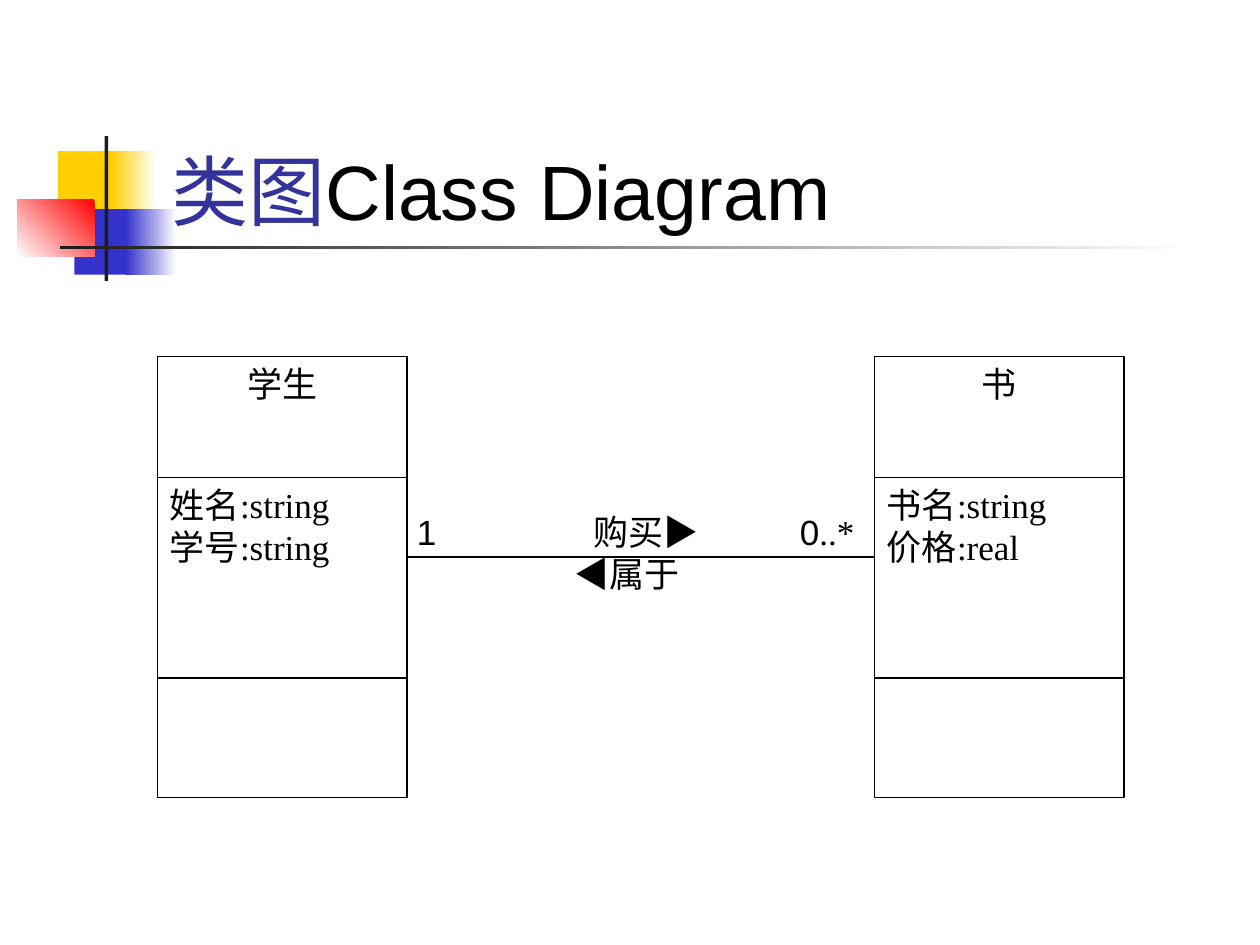
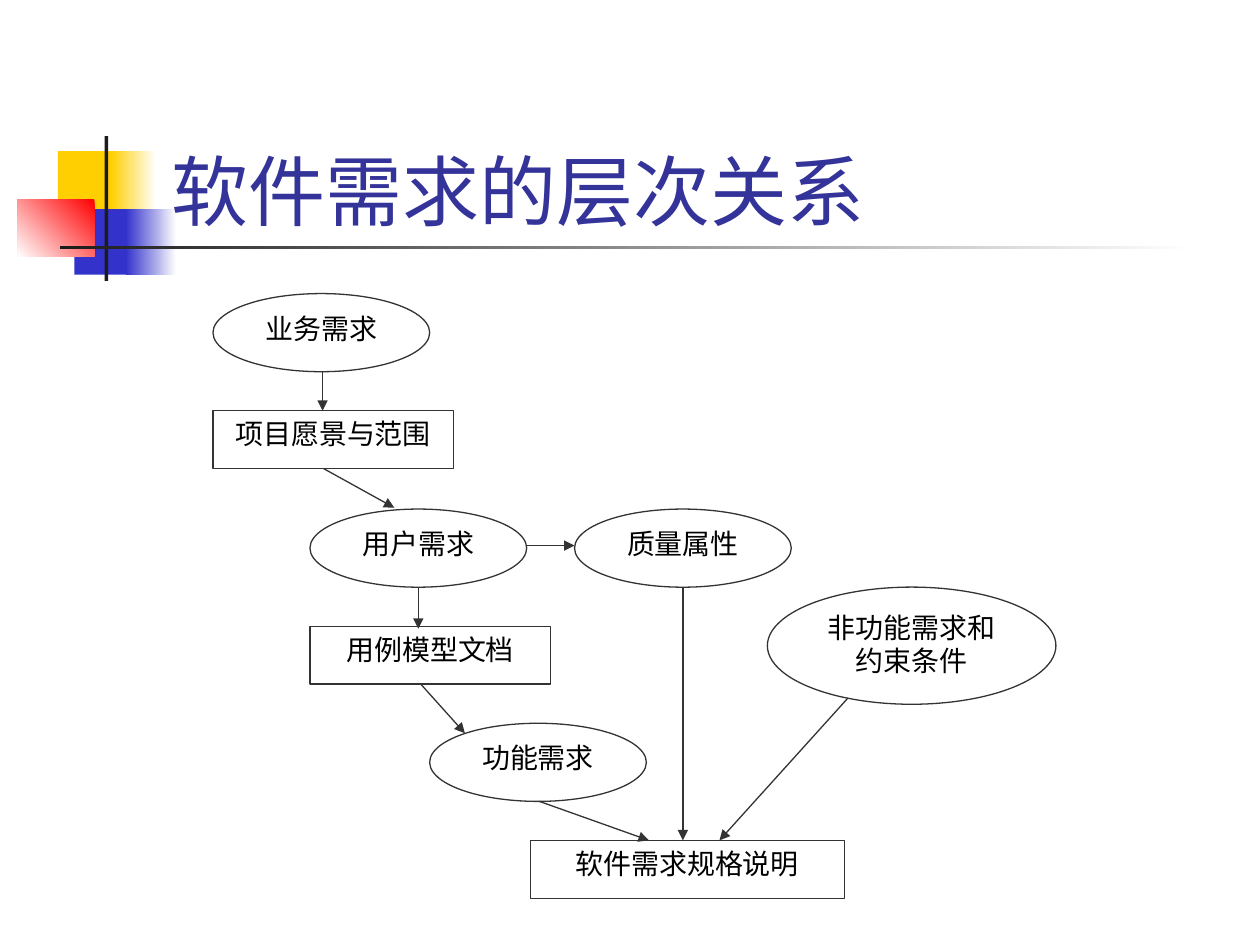
from dataclasses import dataclass

from lxml.etree import SubElement
from pptx import Presentation
from pptx.dml.color import RGBColor as RGB
from pptx.enum.shapes import MSO_CONNECTOR as LINE, MSO_SHAPE as SHAPE
from pptx.enum.text import MSO_ANCHOR as ANCHOR, MSO_AUTO_SIZE as AUTO, PP_ALIGN as ALIGN
from pptx.oxml.ns import qn
from pptx.util import Inches, Pt


@dataclass(frozen=True)
class Theme:
    black: RGB = RGB(0x00, 0x00, 0x00)
    white: RGB = RGB(0xFF, 0xFF, 0xFF)
    title: RGB = RGB(0x33, 0x33, 0x99)
    flow: RGB = RGB(0x33, 0x33, 0x33)
    yellow: RGB = RGB(0xFF, 0xCF, 0x01)
    blue: RGB = RGB(0x33, 0x33, 0xCC)
    red: RGB = RGB(0xFF, 0x00, 0x00)
    bar: RGB = RGB(0x1C, 0x1C, 0x1C)
    title_font: str = "Karla"
    latin_font: str = "Arial"
    body_font: str = "Times New Roman"
    title_size: Pt = Pt(44)
    class_size: Pt = Pt(20)
    flow_size: Pt = Pt(16)
    line_width: Pt = Pt(0.75)


T = Theme()


def add_run(p, text, size, font=T.body_font, color=T.black):
    r = p.add_run()
    r.text = text
    r.font.size, r.font.name = size, font
    r.font.color.rgb = color


def add_line(s, ends, color, arrow=False):
    c = s.shapes.add_connector(LINE.STRAIGHT, *map(Inches, ends))
    c.line.color.rgb = color
    c.line.width = T.line_width
    if arrow:
        SubElement(c.line._get_or_add_ln(), qn("a:tailEnd"), type="triangle")
    SubElement(c._element.spPr, qn("a:effectLst"))


prs = Presentation()
prs.slide_width, prs.slide_height = Inches(10), Inches(7.5)

# Shared title frame and two slides
layout = prs.slide_layouts[5]
frame = layout.placeholders[0]
frame.left, frame.top, frame.width, frame.height = map(Inches, (1.26, 0.67, 8.52, 1.25))
frame.text_frame.vertical_anchor = ANCHOR.BOTTOM
frame.text_frame.auto_size = AUTO.NONE

titles = [
    [("类图", T.title_font, T.title), ("Class Diagram", T.latin_font, T.black)],
    [("软件需求的层次关系", T.title_font, T.title)],
]
for runs in titles:
    s = prs.slides.add_slide(layout)
    p = s.shapes.title.text_frame.paragraphs[0]
    p.alignment = ALIGN.LEFT
    for text, font, color in runs:
        add_run(p, text, T.title_size, font, color)
class_slide, flow_slide = prs.slides

# Decoration: drawn once, then moved to the layout behind its title
ornaments = [
    ((0.46, 1.2, 0.48, 0.52), [T.yellow], 0),
    ((0.88, 1.2, 0.36, 0.52), [T.white, T.yellow], 180),
    ((0.59, 1.66, 0.46, 0.52), [T.blue], 0),
    ((1, 1.66, 0.4, 0.52), [T.white, T.blue], 180),
    ((0.14, 1.58, 0.61, 0.46), [T.red, T.white], 225),
    ((0.83, 1.08, 0.03, 1.15), [T.bar], 0),
    ((0.48, 1.95, 9, 0.03), [T.white, T.bar], 180),
]
for at, colors, angle in ornaments:
    sp = class_slide.shapes.add_shape(SHAPE.RECTANGLE, *map(Inches, at))
    sp.shadow.inherit = False
    sp.line.fill.background()
    if len(colors) == 1:
        sp.fill.solid()
        sp.fill.fore_color.rgb = colors[0]
    else:
        sp.fill.gradient()
        sp.fill.gradient_angle = angle
        for stop, color in zip(sp.fill.gradient_stops, colors):
            stop.color.rgb = color
    frame._element.addprevious(sp._element)

# Boxes of both slides: slide, shape, place, paragraphs, size, line colour, alignment
boxes = []
classes = [
    (1.25, "学生", ["姓名:string", "学号:string"]),
    (6.94, "书", ["书名:string", "价格:real"]),
]
for left, name, fields in classes:
    top = 2.83
    parts = [(0.96, [name], ALIGN.CENTER), (1.59, fields, ALIGN.JUSTIFY), (0.95, [], ALIGN.CENTER)]
    for height, lines, align in parts:
        boxes.append((class_slide, SHAPE.RECTANGLE, (left, top, 1.98, height),
                      lines, T.class_size, T.black, align))
        top += height

needs = [
    (1.69, 2.33, 1.72, 0.62, "业务需求"),
    (2.46, 4.04, 1.72, 0.62, "用户需求"),
    (4.56, 4.04, 1.72, 0.62, "质量属性"),
    (3.41, 5.74, 1.72, 0.62, "功能需求"),
    (6.09, 4.66, 2.29, 0.93, "非功能需求和约束条件"),
]
documents = [
    (1.69, 3.26, 1.91, 0.46, "项目愿景与范围"),
    (2.46, 4.97, 1.91, 0.46, "用例模型文档"),
    (4.21, 6.67, 2.49, 0.46, "软件需求规格说明"),
]
for kind, nodes in ((SHAPE.OVAL, needs), (SHAPE.RECTANGLE, documents)):
    for *at, text in nodes:
        boxes.append((flow_slide, kind, at, [text], T.flow_size, T.flow, ALIGN.CENTER))

for s, kind, at, lines, size, color, align in boxes:
    sp = s.shapes.add_shape(kind, *map(Inches, at))
    sp.shadow.inherit = False
    sp.fill.solid()
    sp.fill.fore_color.rgb = T.white
    sp.line.color.rgb = color
    sp.line.width = T.line_width
    tf = sp.text_frame
    tf.word_wrap = True
    tf.vertical_anchor = ANCHOR.TOP
    for i, line in enumerate(lines):
        p = tf.add_paragraph() if i else tf.paragraphs[0]
        p.alignment = align
        add_run(p, line, size)

# Association between the classes, with its labels set on tab stops
add_line(class_slide, (3.23, 4.42, 6.94, 4.42), T.black)
tf = class_slide.shapes.add_textbox(*map(Inches, (3.21, 4, 3.72, 0.77))).text_frame
tf.word_wrap = True
labels = [
    ((1.4, 3.04), [("1\t购买▶\t0", T.latin_font), ("..*", T.body_font)]),
    ((1.25,), [("\t◀属于", T.latin_font)]),
]
for i, (stops, runs) in enumerate(labels):
    p = tf.add_paragraph() if i else tf.paragraphs[0]
    tabs = SubElement(p._p.get_or_add_pPr(), qn("a:tabLst"))
    for stop in stops:
        SubElement(tabs, qn("a:tab"), pos=str(Inches(stop)), algn="l")
    for text, font in runs:
        add_run(p, text, T.class_size, font)

# Flow from business needs to the specification
arrows = [
    (2.56, 2.95, 2.56, 3.26),
    (2.57, 3.72, 3.13, 4.03),
    (4.18, 4.33, 4.56, 4.33),
    (3.32, 4.66, 3.32, 4.99),
    (3.34, 5.43, 3.69, 5.82),
    (4.28, 6.36, 5.15, 6.67),
    (5.42, 4.66, 5.42, 6.67),
    (6.73, 5.54, 5.71, 6.67),
]
for ends in arrows:
    add_line(flow_slide, ends, T.flow, arrow=True)

prs.save("out.pptx")
